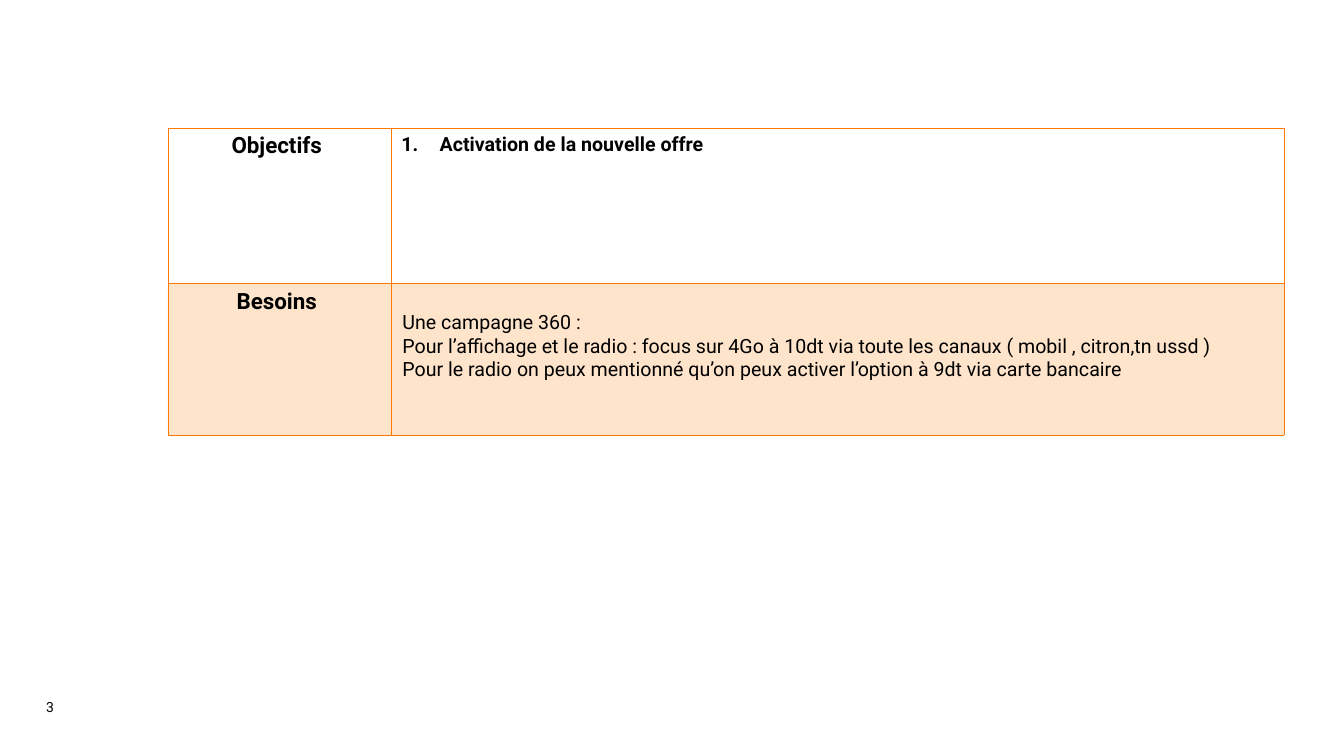
from lxml import etree
from pptx import Presentation
from pptx import util as u
from pptx.dml.color import RGBColor
from pptx.enum import text
from pptx.oxml import ns

Pt = u.Pt

# Content
ROWS = [
    ("Objectifs ", ["Activation de la nouvelle offre"]),
    ("Besoins ", [
        "Une campagne 360 :",
        "Pour l’affichage et le radio : focus sur 4Go à 10dt via toute les canaux ( mobil , citron,tn ussd )",
        "Pour le radio on peux mentionné qu’on peux activer l’option à 9dt via carte bancaire",
    ]),
]
PAGE_NUMBER = "3"
COLORS = {"text": "000000", "accent": "FF7900"}
FONT = "Roboto"

# Layout in points
LEFT, TOP = 120, 91.6
COL_WIDTHS = [159.6, 638]
ROW_HEIGHTS = [111, 108]
OUTER, MIDDLE = 0.45, 0.96
NUMBER_INDENT = 27.4
NEEDS_TOP = 20


def sub(parent, tag, **attrs):
    return etree.SubElement(parent, ns.qn(tag), {k: str(v) for k, v in attrs.items()})


def write(tf, lines, size, bold=False, align=text.PP_ALIGN.LEFT):
    tf.text = "\n".join(lines)
    for p in tf.paragraphs:
        p.alignment = align
        for r in p.runs:
            r.font.name, r.font.size, r.font.bold = FONT, Pt(size), bold
            r.font.color.rgb = RGBColor.from_string(COLORS["text"])


def set_borders(cell, top, bottom):
    tcPr = cell._tc.get_or_add_tcPr()
    widths = {"a:lnL": OUTER, "a:lnR": OUTER, "a:lnT": top, "a:lnB": bottom}
    for tag, width in widths.items():
        fill = sub(sub(tcPr, tag, w=int(Pt(width))), "a:solidFill")
        sub(fill, "a:srgbClr", val=COLORS["accent"])


def set_tint(cell):
    cell.fill.solid()
    cell.fill.fore_color.rgb = RGBColor.from_string(COLORS["accent"])
    color = cell._tc.tcPr.find(".//" + ns.qn("a:solidFill") + "[last()]")
    color = cell._tc.tcPr.find(ns.qn("a:solidFill"))[0]
    sub(color, "a:alpha", val=20000)


def number(p):
    pPr = p._p.get_or_add_pPr()
    pPr.set("marL", str(int(Pt(NUMBER_INDENT))))
    pPr.set("indent", str(-int(Pt(NUMBER_INDENT))))
    sub(pPr, "a:buFont", typeface="+mj-lt")
    sub(pPr, "a:buAutoNum", type="arabicPeriod")


prs = Presentation()
prs.slide_width, prs.slide_height = Pt(960.5), Pt(540)
s = prs.slides.add_slide(prs.slide_layouts[6])

# Page number
tf = s.shapes.add_textbox(Pt(33), Pt(476), Pt(29), Pt(35)).text_frame
tf.word_wrap = True
tf.vertical_anchor = text.MSO_ANCHOR.BOTTOM
tf.margin_left = tf.margin_right = tf.margin_top = tf.margin_bottom = 0
write(tf, [PAGE_NUMBER], 10)
tf.paragraphs[0].line_spacing = 0.85

# Table of objectives and needs
table = s.shapes.add_table(len(ROWS), len(COL_WIDTHS), Pt(LEFT), Pt(TOP),
                           Pt(sum(COL_WIDTHS)), Pt(sum(ROW_HEIGHTS))).table
table.first_row = table.horz_banding = False
for column, width in zip(table.columns, COL_WIDTHS):
    column.width = Pt(width)

for i, (heading, lines) in enumerate(ROWS):
    table.rows[i].height = Pt(ROW_HEIGHTS[i])
    is_goal = i == 0
    label, body = table.cell(i, 0), table.cell(i, 1)
    for cell in (label, body):
        set_borders(cell, OUTER if is_goal else MIDDLE, MIDDLE if is_goal else OUTER)
        if is_goal:
            cell.fill.background()
        else:
            set_tint(cell)
    write(label.text_frame, [heading], 16, True, text.PP_ALIGN.CENTER)
    write(body.text_frame, lines, 14, is_goal)
    if is_goal:
        number(body.text_frame.paragraphs[0])
    else:
        body.margin_top = Pt(NEEDS_TOP)
        body.margin_left = Pt(8)

prs.save("out.pptx")
